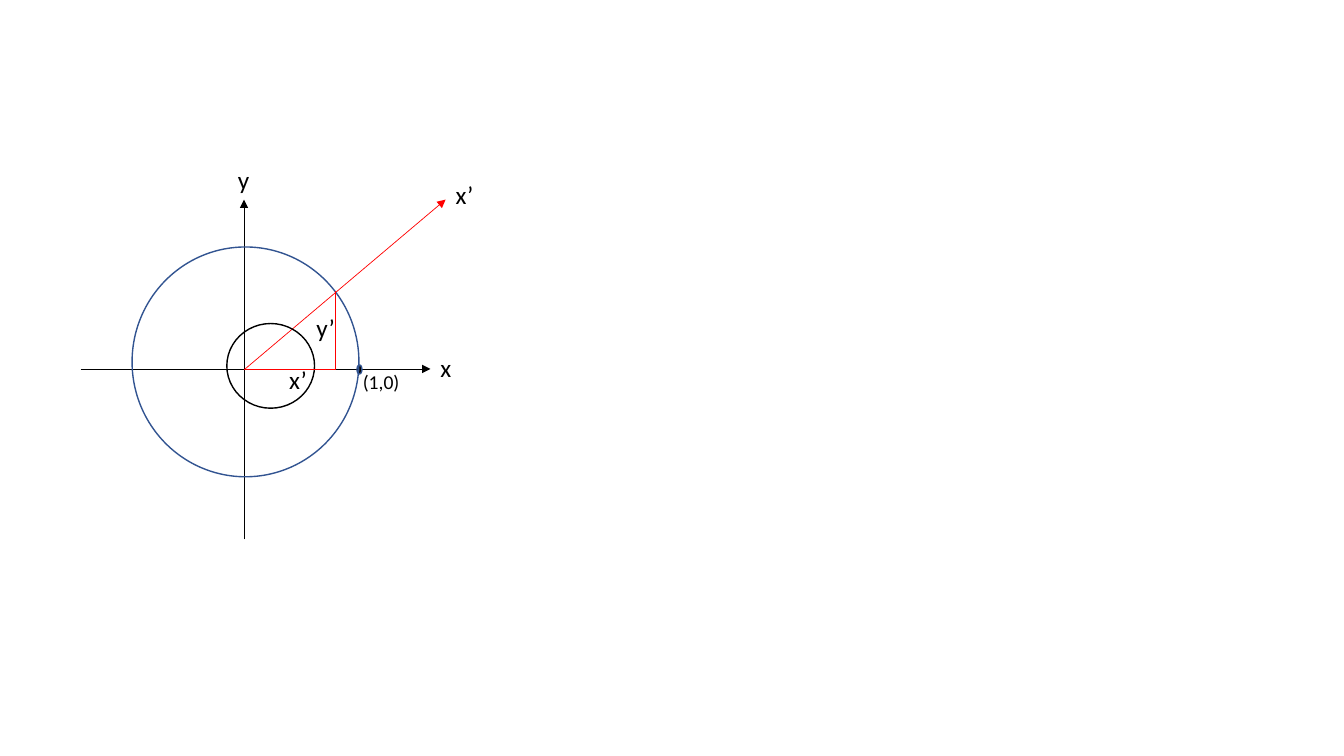
import pptx
import pptx.util
import pptx.dml.color
import pptx.enum.shapes
import pptx.enum.text
import pptx.oxml.ns
import lxml.etree

BLACK, RED, BLUE = "000000", "FF0000", "325491"
COLS, ROOT = 40, (16.2, 20.8)


def color(code):
    return pptx.dml.color.RGBColor.from_string(code)


class Plane:
    """Grid of square cells in a box, measured from the origin of the axes."""

    def __init__(self, slide, left, top, width):
        self.shapes = slide.shapes
        self.cell = width / COLS
        self.left = left + ROOT[0] * self.cell
        self.top = top + ROOT[1] * self.cell

    def spot(self, x, y):
        return (pptx.util.Inches(self.left + x * self.cell),
                pptx.util.Inches(self.top + y * self.cell))

    def area(self, x, y, width, height):
        size = (pptx.util.Inches(n * self.cell) for n in (width, height))
        return (*self.spot(x, y), *size)

    def line(self, start, end, code, arrow=False):
        kind = pptx.enum.shapes.MSO_CONNECTOR.STRAIGHT
        line = self.shapes.add_connector(
            kind, *self.spot(*start), *self.spot(*end))
        line.line.color.rgb = color(code)
        line.line.width = pptx.util.Pt(0.5)
        qn = pptx.oxml.ns.qn
        if arrow:
            tip = lxml.etree.SubElement(
                line.line._get_or_add_ln(), qn("a:tailEnd"))
            tip.set("type", "triangle")
        lxml.etree.SubElement(line._element.spPr, qn("a:effectLst"))

    def oval(self, box, code, fill=None):
        kind = pptx.enum.shapes.MSO_SHAPE.OVAL
        oval = self.shapes.add_shape(kind, *self.area(*box))
        oval.shadow.inherit = False
        if fill:
            oval.fill.solid()
            oval.fill.fore_color.rgb = color(fill)
        else:
            oval.fill.background()
        oval.line.color.rgb = color(code)
        oval.line.width = pptx.util.Pt(1)

    def label(self, text, box, size=18):
        frame = self.shapes.add_textbox(*self.area(*box)).text_frame
        form = {"word_wrap": False,
                "auto_size": pptx.enum.text.MSO_AUTO_SIZE.SHAPE_TO_FIT_TEXT}
        for key, value in form.items():
            setattr(frame, key, value)
        run = frame.paragraphs[0].add_run()
        run.text = text
        for key, value in {"name": "Calibri",
                           "size": pptx.util.Pt(size)}.items():
            setattr(run.font, key, value)
        run.font.color.rgb = color(BLACK)


def draw_axes(plane):
    plane.line((0, 16.9), (0, -16.8), BLACK, arrow=True)
    plane.line((-16.2, 0), (18.5, 0), BLACK, arrow=True)
    plane.label("x", (18.5, -2.1, 3.1, 4))
    plane.label("y", (-1.6, -20.8, 3.2, 4))


def draw_ray(plane):
    plane.line((0, 0.1), (20, -16.8), RED, arrow=True)
    plane.label("x’", (20, -19.3, 3.8, 4))


def draw_circles(plane):
    plane.oval((-1.7, -4.5, 8.7, 8.4), BLACK)
    plane.oval((11.2, -0.4, 0.5, 0.9), BLUE, BLACK)
    plane.label("(1,0)", (10.8, -0.4, 5.7, 3.4), 14)
    plane.oval((-11.1, -12.1, 22.5, 22.8), BLUE)


def draw_legs(plane):
    """Draw the two legs of the triangle below the ray."""
    foot = (9.1, 0)
    plane.line((9.1, -7.7), foot, RED)
    plane.label("y’", (6.2, -6.1, 3.9, 4))
    plane.line((0, 0), foot, RED)
    plane.label("x’", (3.5, -0.9, 3.8, 4))


def main():
    deck = pptx.Presentation()
    deck.slide_width = pptx.util.Inches(13.33)
    deck.slide_height = pptx.util.Inches(7.5)
    slide = deck.slides.add_slide(deck.slide_layouts[6])
    plane = Plane(slide, 0.8, 1.58, 4)
    for draw in (draw_axes, draw_ray, draw_circles, draw_legs):
        draw(plane)
    deck.save("out.pptx")


if __name__ == "__main__":
    main()
